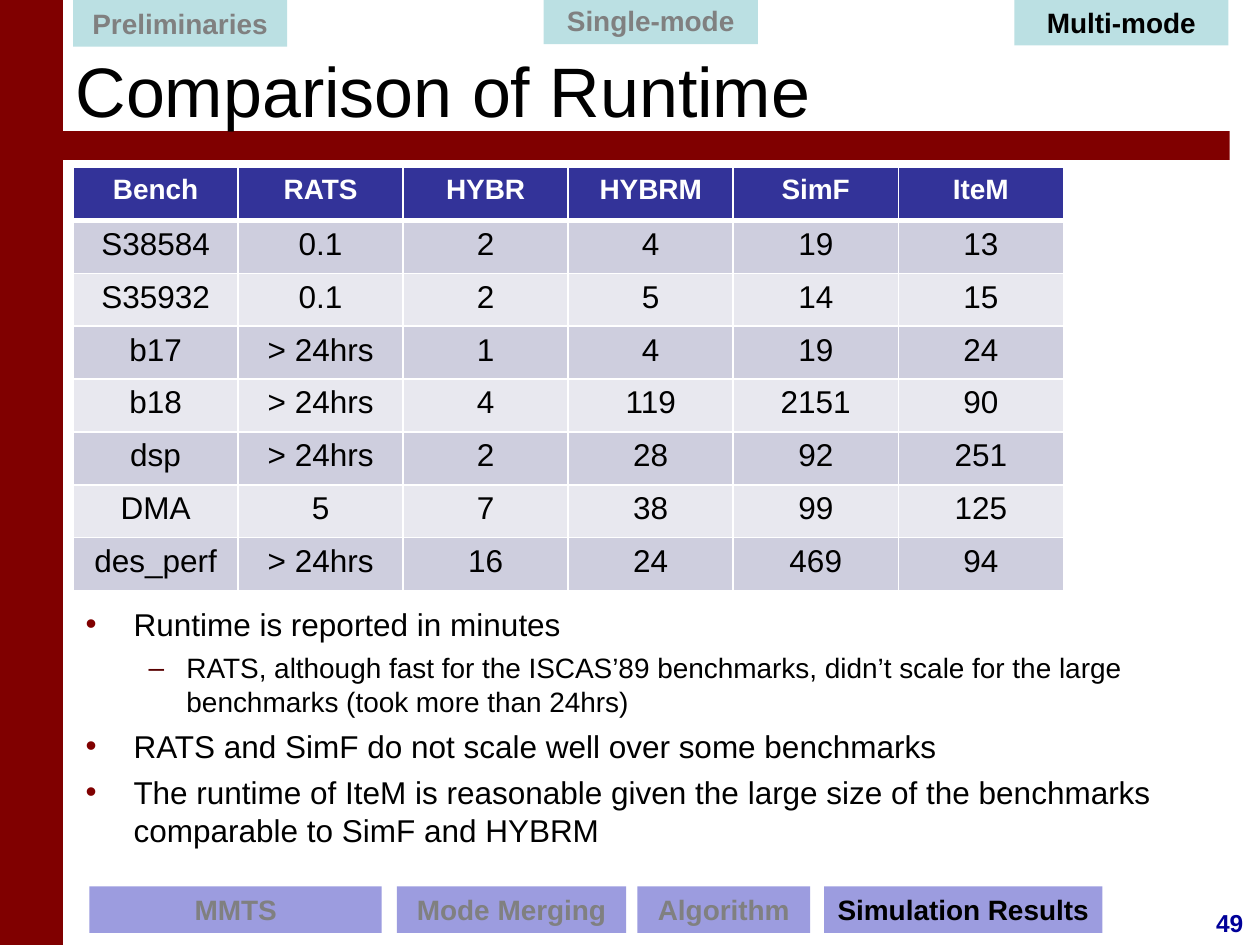
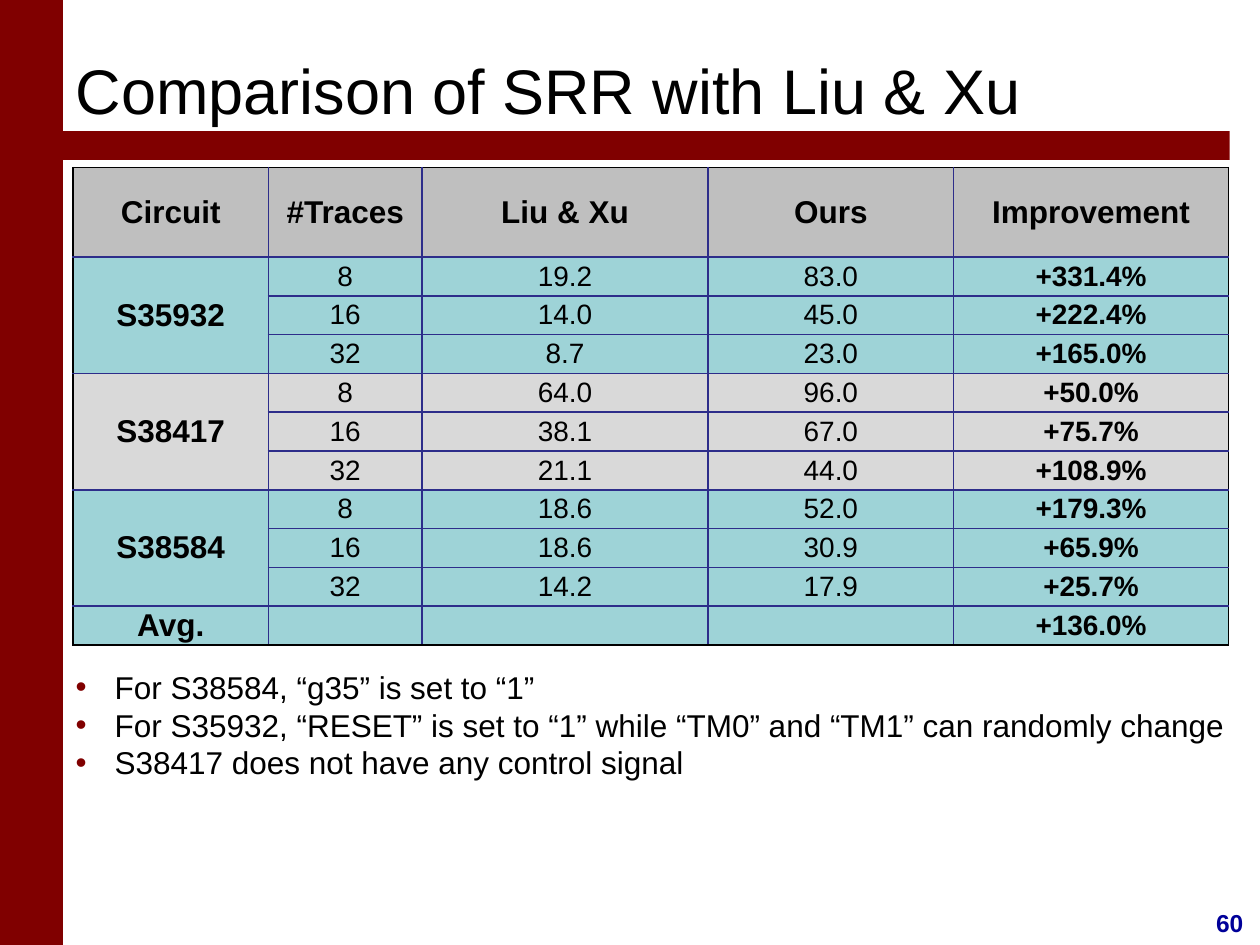
import dataclasses

import pptx
import pptx.dml.color
import pptx.enum.shapes
import pptx.enum.text
import pptx.oxml
import pptx.oxml.ns
import pptx.util

COLUMNS, ROWS = 100, 75
ALIGN = pptx.enum.text.PP_ALIGN
ANCHOR = pptx.enum.text.MSO_ANCHOR


@dataclasses.dataclass(frozen=True)
class Theme:
    font: str = "Arial"
    ink: str = "000000"
    paper: str = "FFFFFF"
    muted: str = "808080"
    maroon: str = "800000"
    dash: str = "580000"
    page_number: str = "000099"
    section_tab: str = "BBE0E3"
    topic_tab: str = "9C9CDF"
    runtime_header: str = "333399"
    runtime_bands: tuple = ("CECEDE", "E8E8EF")
    ratio_header: str = "BFBFBF"
    ratio_bands: tuple = ("9ED3D7", "D9D9D9")
    ratio_line: str = "2D2D8A"
    title_size: int = 40
    long_title_size: int = 36
    text_size: int = 18
    small_size: int = 16
    number_size: int = 14


@dataclasses.dataclass(frozen=True)
class CellLook:
    fill: str
    size: int
    bold: bool
    color: str


class Board:
    def __init__(self, deck, theme):
        self.deck = deck
        self.theme = theme
        self.page = None

    def across(self, columns):
        return round(self.deck.slide_width * columns / COLUMNS)

    def down(self, rows):
        return round(self.deck.slide_height * rows / ROWS)

    def frame(self, left, top, width, height):
        return self.across(left), self.down(top), self.across(width), self.down(height)

    def place(self, box, area):
        box.left, box.top, box.width, box.height = self.frame(*area)

    def format(self, para, size, color, bold=False, align=ALIGN.LEFT):
        para.alignment = align
        for span in para.runs:
            span.font.name = self.theme.font
            span.font.size = pptx.util.Pt(size)
            span.font.bold = bold
            span.font.color.rgb = pptx.dml.color.RGBColor.from_string(color)

    def start(self, title, size, number):
        self.page = self.deck.slides.add_slide(self.deck.slide_layouts[1])
        self.band((0, 0, 5, 75), self.theme.maroon)
        self.band((4.2, 10.4, 93.4, 2.3), self.theme.maroon)
        self.title(title, size)
        self.number(number)

    def title(self, text, size):
        box = self.page.shapes.title
        box.element.getparent().append(box.element)
        self.place(box, (5, 1.7, 91.7, 10.8))
        box.text_frame.text = text
        box.text_frame.vertical_anchor = ANCHOR.MIDDLE
        box.text_frame.auto_size = pptx.enum.text.MSO_AUTO_SIZE.NONE
        self.format(box.text_frame.paragraphs[0], size, self.theme.ink)

    def number(self, text):
        box = self.page.shapes.add_textbox(*self.frame(95.1, 71.6, 5, 3.3))
        box.text_frame.word_wrap = True
        box.text_frame.text = text
        self.format(box.text_frame.paragraphs[0], self.theme.number_size,
                    self.theme.page_number, True, ALIGN.CENTER)

    def band(self, area, fill):
        box = self.page.shapes.add_shape(
            pptx.enum.shapes.MSO_SHAPE.RECTANGLE, *self.frame(*area))
        box.shadow.inherit = False
        box.fill.solid()
        box.fill.fore_color.rgb = pptx.dml.color.RGBColor.from_string(fill)
        box.line.fill.background()
        return box

    def tab(self, text, left, top, width, fill, active):
        box = self.band((left, top, width, 3.7), fill)
        box.text_frame.text = text
        box.text_frame.word_wrap = True
        box.text_frame.vertical_anchor = ANCHOR.MIDDLE
        color = self.theme.ink if active else self.theme.muted
        self.format(box.text_frame.paragraphs[0], self.theme.small_size, color, True, ALIGN.CENTER)

    def bullet(self, para, mark, color, margin, hanging):
        settings = para._p.get_or_add_pPr()
        settings.set("marL", str(self.across(margin)))
        settings.set("indent", str(-self.across(hanging)))
        namespace = pptx.oxml.ns.nsdecls("a")
        for xml in (f'<a:buClr {namespace}><a:srgbClr val="{color}"/></a:buClr>',
                    f'<a:buFont {namespace} typeface="{self.theme.font}"/>',
                    f'<a:buChar {namespace} char="{mark}"/>'):
            settings.append(pptx.oxml.parse_xml(xml))

    def bullets(self, area, items, indent, gap):
        box = self.page.placeholders[1]
        self.place(box, area)
        box.text_frame.auto_size = pptx.enum.text.MSO_AUTO_SIZE.NONE
        box.text_frame.text = "\n".join(text for level, text in items)
        for index, (level, text) in enumerate(items):
            para = box.text_frame.paragraphs[index]
            para.level = level
            if level:
                self.bullet(para, "–", self.theme.dash, 8, 3)
            else:
                self.bullet(para, "•", self.theme.maroon, indent, indent)
            para.space_before = pptx.util.Pt(gap if index else 0)
            size = self.theme.small_size if level else self.theme.text_size
            self.format(para, size, self.theme.ink)

    def border(self, cell, side, color, width):
        cell._tc.get_or_add_tcPr().append(pptx.oxml.parse_xml(
            f'<a:ln{side} {pptx.oxml.ns.nsdecls("a")} w="{pptx.util.Pt(width)}">'
            f'<a:solidFill><a:srgbClr val="{color}"/></a:solidFill></a:ln{side}>'))

    def table(self, left, top, widths, heights, rows, look, line, edge,
              header_rule=1, tight=False):
        area = self.frame(left, top, sum(widths), sum(heights))
        grid = self.page.shapes.add_table(len(rows), len(widths), *area).table
        grid.horz_banding = False
        for column, width in zip(grid.columns, widths):
            column.width = self.across(width)
        for row, height in zip(grid.rows, heights):
            row.height = self.down(height)
        last_row, last_column = len(rows) - 1, len(widths) - 1
        for r, row in enumerate(rows):
            for c, text in enumerate(row):
                cell, style = grid.cell(r, c), look(r, c)
                self.border(cell, "L", line if c else edge, 1)
                self.border(cell, "R", line if c < last_column else edge, 1)
                self.border(cell, "T", line if r else edge, header_rule if r == 1 else 1)
                self.border(cell, "B", line if r < last_row else edge, 1 if r else header_rule)
                cell.fill.solid()
                cell.fill.fore_color.rgb = pptx.dml.color.RGBColor.from_string(style.fill)
                if tight:
                    cell.vertical_anchor = ANCHOR.MIDDLE
                    cell.margin_left = cell.margin_right = self.across(0.1)
                    cell.margin_top = cell.margin_bottom = 0
                cell.text_frame.text = text
                self.format(cell.text_frame.paragraphs[0], style.size, style.color,
                            style.bold, ALIGN.CENTER)
        return grid


def runtime_page(board):
    theme = board.theme
    board.start("Comparison of Runtime", theme.title_size, "49")
    rows = [
        ("Bench", "RATS", "HYBR", "HYBRM", "SimF", "IteM"),
        ("S38584", "0.1", "2", "4", "19", "13"),
        ("S35932", "0.1", "2", "5", "14", "15"),
        ("b17", "> 24hrs", "1", "4", "19", "24"),
        ("b18", "> 24hrs", "4", "119", "2151", "90"),
        ("dsp", "> 24hrs", "2", "28", "92", "251"),
        ("DMA", "5", "7", "38", "99", "125"),
        ("des_perf", "> 24hrs", "16", "24", "469", "94"),
    ]

    def look(row, column):
        if row == 0:
            return CellLook(theme.runtime_header, theme.small_size, True, theme.paper)
        return CellLook(theme.runtime_bands[(row - 1) % 2], theme.text_size, False, theme.ink)

    board.table(5.8, 13.3, [13.1] * 6, [4.2] * len(rows), rows, look,
                theme.paper, theme.paper, header_rule=3)
    board.bullets((5.8, 47.5, 91.7, 20.6), [
        (0, "Runtime is reported in minutes"),
        (1, "RATS, although fast for the ISCAS’89 benchmarks, didn’t scale for the large "
            "benchmarks (took more than 24hrs)"),
        (0, "RATS and SimF do not scale well over some benchmarks"),
        (0, "The runtime of IteM is reasonable given the large size of the benchmarks "
            "comparable to SimF and HYBRM"),
    ], indent=3.8, gap=4.8)

    sections = [("Preliminaries", 0), ("Single-mode", -0.2), ("Multi-mode", -0.1)]
    for index, (name, top) in enumerate(sections):
        board.tab(name, 5.8 + 37.35 * index, top, 17, theme.section_tab, name == "Multi-mode")
    topics = [("MMTS", 7.1, 23.2), ("Mode Merging", 31.5, 18.2),
              ("Algorithm", 50.6, 13.7), ("Simulation Results", 65.4, 22.1)]
    for name, left, width in topics:
        board.tab(name, left, 70.35, width, theme.topic_tab, name == "Simulation Results")


def ratio_page(board):
    theme = board.theme
    board.start("Comparison of SRR with Liu & Xu", theme.long_title_size, "60")
    circuits = {
        "S35932": [("19.2", "83.0", "+331.4%"), ("14.0", "45.0", "+222.4%"),
                   ("8.7", "23.0", "+165.0%")],
        "S38417": [("64.0", "96.0", "+50.0%"), ("38.1", "67.0", "+75.7%"),
                   ("21.1", "44.0", "+108.9%")],
        "S38584": [("18.6", "52.0", "+179.3%"), ("18.6", "30.9", "+65.9%"),
                   ("14.2", "17.9", "+25.7%")],
    }
    traces = ("8", "16", "32")
    rows = [("Circuit", "#Traces", "Liu & Xu", "Ours", "Improvement")]
    for circuit, results in circuits.items():
        for index, (count, result) in enumerate(zip(traces, results)):
            rows.append(("" if index else circuit, count, *result))
    rows.append(("Avg.", "", "", "", "+136.0%"))

    def look(row, column):
        if row == 0:
            return CellLook(theme.ratio_header, theme.text_size, True, theme.ink)
        fill = theme.ratio_bands[(row - 1) // len(traces) % 2]
        if row == len(rows) - 1:
            fill = theme.ratio_bands[0]
        size = theme.small_size if column else theme.text_size
        return CellLook(fill, size, column in (0, 4), theme.ink)

    grid = board.table(5.8, 13.3, [15.5, 12.2, 22.7, 19.5, 21.8],
                       [7.1] + [3.08] * (len(rows) - 1), rows, look,
                       theme.ratio_line, theme.ink, tight=True)
    for first in range(1, len(rows) - 1, len(traces)):
        grid.cell(first, 0).merge(grid.cell(first + len(traces) - 1, 0))
    board.bullets((5, 52.5, 94.2, 10.1), [
        (0, "For S38584, “g35” is set to “1”"),
        (0, "For S35932, “RESET” is set to “1” while “TM0” and “TM1” can randomly change"),
        (0, "S38417 does not have any control signal"),
    ], indent=3.1, gap=0)


def main():
    deck = pptx.Presentation()
    deck.slide_width = pptx.util.Inches(10)
    deck.slide_height = pptx.util.Inches(7.5)
    board = Board(deck, Theme())
    runtime_page(board)
    ratio_page(board)
    deck.save("out.pptx")


if __name__ == "__main__":
    main()
